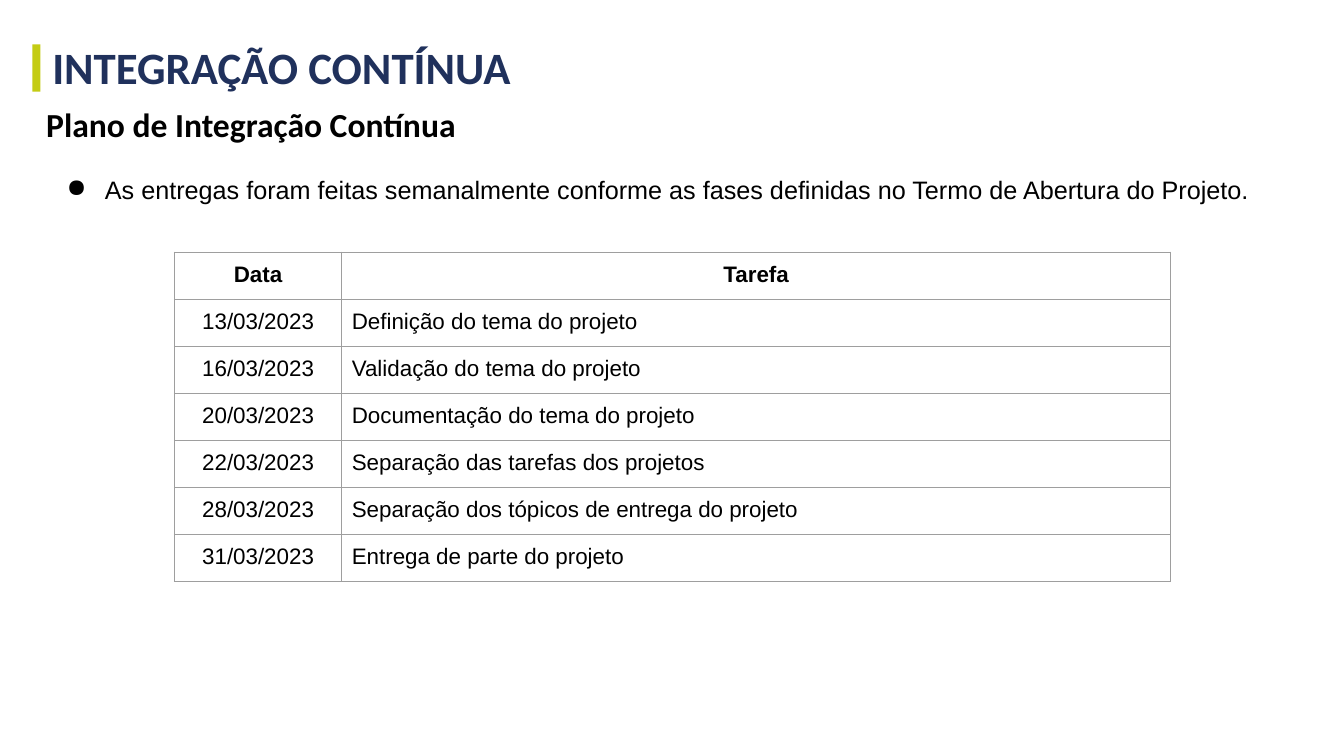
from lxml import etree
from pptx import Presentation
from pptx.dml.color import RGBColor
from pptx.enum.shapes import MSO_SHAPE
from pptx.enum.text import MSO_AUTO_SIZE, PP_ALIGN
from pptx.oxml.ns import qn
from pptx.util import Inches, Pt

RECTANGLE = MSO_SHAPE.RECTANGLE
LEFT, CENTER = PP_ALIGN.LEFT, PP_ALIGN.CENTER
GROW = MSO_AUTO_SIZE.SHAPE_TO_FIT_TEXT

COLORS = {"lime": "C4CC14", "navy": "20315C", "black": "000000", "border": "9E9E9E"}

COLUMN_WIDTHS = (1.66, 8.22)
TABLE_HEIGHT = 3.27
HEADERS = ("Data", "Tarefa")
TASKS = (
    ("13/03/2023", "Definição do tema do projeto"),
    ("16/03/2023", "Validação do tema do projeto"),
    ("20/03/2023", "Documentação do tema do projeto"),
    ("22/03/2023", "Separação das tarefas dos projetos"),
    ("28/03/2023", "Separação dos tópicos de entrega do projeto"),
    ("31/03/2023", "Entrega de parte do projeto"),
)


def write_text(frame, text, size=18, font="Arial", color="black", bold=False,
               align=LEFT, spacing=None):
    paragraph = frame.paragraphs[0]
    paragraph.alignment = align
    if spacing:
        paragraph.line_spacing = spacing
    run = paragraph.add_run()
    run.text = text
    run.font.name = font
    run.font.size = Pt(size)
    run.font.bold = bold
    run.font.color.rgb = RGBColor.from_string(COLORS[color])
    return paragraph


def add_solid_fill(parent, tag, color):
    element = etree.SubElement(parent, qn(tag))
    if tag != "a:buClr":
        element = etree.SubElement(element, qn("a:solidFill"))
    etree.SubElement(element, qn("a:srgbClr"), val=COLORS[color])


def add_bullet(paragraph, indent, hanging):
    properties = paragraph._p.get_or_add_pPr()
    properties.set("marL", str(Inches(indent)))
    properties.set("indent", str(-Inches(hanging)))
    add_solid_fill(properties, "a:buClr", "black")
    etree.SubElement(properties, qn("a:buChar"), char="●")


def add_borders(cell, color, width):
    properties = cell._tc.get_or_add_tcPr()
    for side in ("a:lnL", "a:lnR", "a:lnT", "a:lnB"):
        add_solid_fill(properties, side, color)
        properties[-1].set("w", str(Pt(width)))


class SlideBuilder:
    def __init__(self, slide, margin=0.1):
        self.slide = slide
        self.margin = Inches(margin)

    def bar(self, left, top, width, height, color):
        bar = self.slide.shapes.add_shape(
            RECTANGLE, Inches(left), Inches(top), Inches(width), Inches(height))
        bar.shadow.inherit = False
        bar.fill.solid()
        bar.fill.fore_color.rgb = RGBColor.from_string(COLORS[color])
        bar.line.fill.background()

    def text(self, left, top, width, height, text, padding=0.05, **style):
        box = self.slide.shapes.add_textbox(
            Inches(left), Inches(top), Inches(width), Inches(height))
        frame = box.text_frame
        frame.word_wrap = True
        frame.auto_size = GROW
        frame.margin_left = frame.margin_right = self.margin
        frame.margin_top = frame.margin_bottom = Inches(padding)
        return write_text(frame, text, **style)

    def table(self, left, top, widths, height, rows):
        """Draw a bordered table whose first row is a bold, centred header."""
        table = self.slide.shapes.add_table(
            len(rows), len(widths), Inches(left), Inches(top),
            Inches(sum(widths)), Inches(height)).table
        table.horz_banding = False
        table.first_row = False
        for column, width in zip(table.columns, widths):
            column.width = Inches(width)
        for row_index, row in enumerate(rows):
            is_header = row_index == 0
            table.rows[row_index].height = Inches(height / len(rows))
            for column_index, value in enumerate(row):
                cell = table.cell(row_index, column_index)
                cell.margin_left = cell.margin_right = self.margin
                cell.margin_top = cell.margin_bottom = self.margin
                centered = is_header or column_index == 0
                write_text(cell.text_frame, value, size=16, bold=is_header,
                           align=CENTER if centered else LEFT)
                add_borders(cell, "border", 0.75)
                cell.fill.background()


def main():
    presentation = Presentation()
    presentation.slide_width = Inches(13.33)
    presentation.slide_height = Inches(7.5)
    builder = SlideBuilder(presentation.slides.add_slide(presentation.slide_layouts[6]))

    builder.bar(0.32, 0.44, 0.08, 0.47, "lime")
    builder.text(0.42, 0.34, 4.79, 0.64, "INTEGRAÇÃO CONTÍNUA",
                 size=32, font="Calibri", color="navy", bold=True)
    builder.text(0.36, 0.98, 12.65, 0.5, "Plano de Integração Contínua",
                 size=24, font="Calibri", bold=True)
    delivery_note = builder.text(
        0.36, 1.48, 12.21, 0.66,
        "As entregas foram feitas semanalmente conforme as fases definidas "
        "no Termo de Abertura do Projeto.",
        padding=0.1, align=CENTER, spacing=1.5)
    add_bullet(delivery_note, indent=0.5, hanging=0.38)
    builder.table(1.73, 2.5, COLUMN_WIDTHS, TABLE_HEIGHT, (HEADERS, *TASKS))

    presentation.save("out.pptx")


if __name__ == "__main__":
    main()
